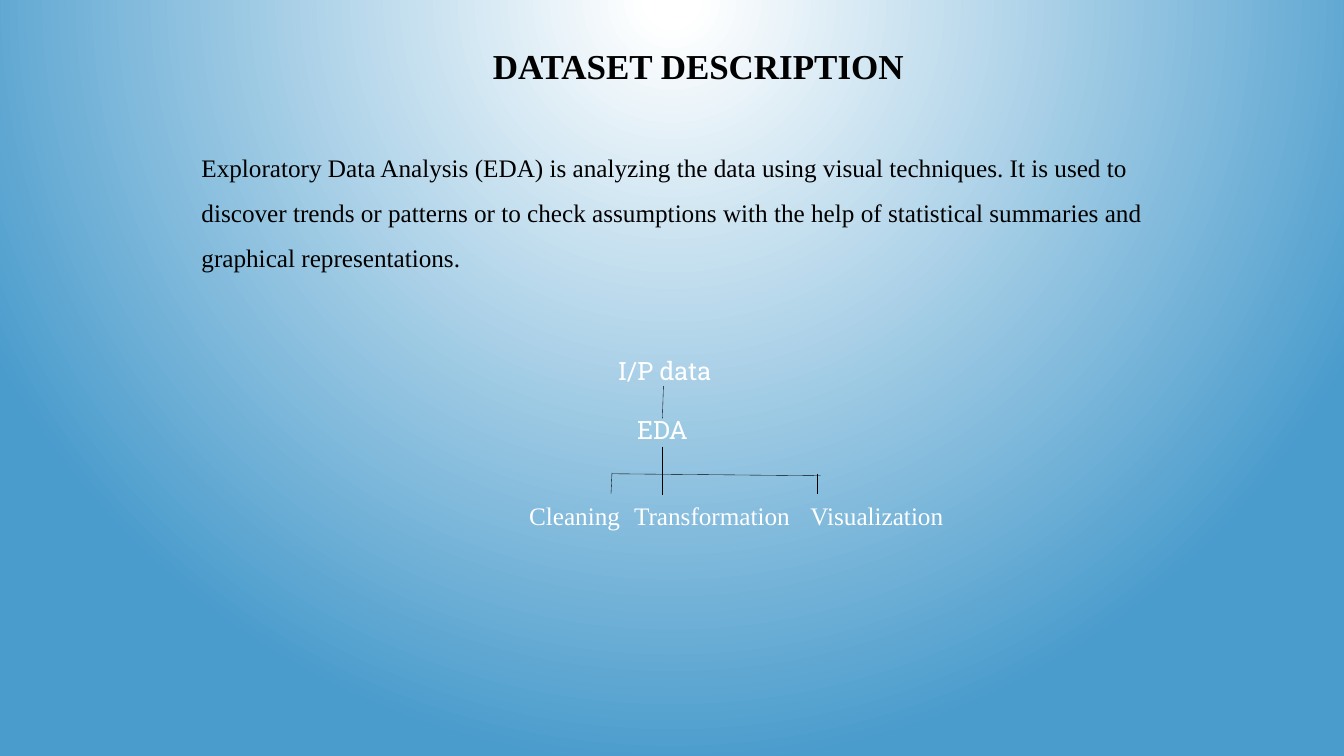
import pptx
import pptx.dml.color
import pptx.enum.shapes
import pptx.enum.text
import pptx.oxml
import pptx.oxml.ns
import pptx.util
from pptx.util import Inches

BLACK = pptx.dml.color.RGBColor(0x00, 0x00, 0x00)
WHITE = pptx.dml.color.RGBColor(0xFF, 0xFF, 0xFF)
SKY = pptx.dml.color.RGBColor(0x4A, 0x9C, 0xCC)
SERIF = "Times New Roman"
SLAB = "Roboto Slab"


def set_background(page):
    """Radial gradient centred above the top edge."""
    fill = page.background.fill
    fill.gradient()
    stops = "".join(
        f'<a:gs pos="{percent * 1000}"><a:srgbClr val="{color}"/></a:gs>'
        for percent, color in ((0, WHITE), (3, WHITE), (100, SKY)))
    gradient = pptx.oxml.parse_xml(
        f'<a:gradFill {pptx.oxml.ns.nsdecls("a")} rotWithShape="1">'
        f'<a:gsLst>{stops}</a:gsLst><a:path path="circle">'
        '<a:fillToRect l="50000" t="-80000" r="50000" b="180000"/>'
        '</a:path></a:gradFill>')
    old = page.background._cSld.bg.bgPr.find(pptx.oxml.ns.qn("a:gradFill"))
    old.getparent().replace(old, gradient)


def add_text(page, left, top, width, height, lines, color,
             font=SERIF, size=18, bold=False, grow=False):
    box = page.shapes.add_textbox(
        Inches(left), Inches(top), Inches(width), Inches(height))
    frame = box.text_frame
    frame.word_wrap = True
    if grow:
        frame.auto_size = pptx.enum.text.MSO_AUTO_SIZE.SHAPE_TO_FIT_TEXT
    frame.text = "\n".join(lines)
    for para in frame.paragraphs:
        para.font.name = font
        para.font.size = pptx.util.Pt(size)
        para.font.bold = bold
        para.font.color.rgb = color
    return frame


def add_branch(page, x1, y1, x2, y2):
    line = page.shapes.add_connector(
        pptx.enum.shapes.MSO_CONNECTOR.STRAIGHT,
        Inches(x1), Inches(y1), Inches(x2), Inches(y2))
    line.line.color.rgb = BLACK
    line.line.width = pptx.util.Pt(0.25)
    line._element.spPr.append(pptx.oxml.parse_xml(
        f'<a:effectLst {pptx.oxml.ns.nsdecls("a")}/>'))


def main():
    deck = pptx.Presentation()
    deck.slide_width, deck.slide_height = Inches(13.33), Inches(7.5)
    page = deck.slides.add_slide(deck.slide_layouts[6])
    set_background(page)

    # Heading and explanation
    add_text(page, 4.79, 0.39, 5.56, 0.52, ["DATASET DESCRIPTION"], BLACK,
             size=25, bold=True, grow=True)
    body = add_text(page, 1.9, 1.31, 10.24, 1.26, [
        "Exploratory Data Analysis (EDA) is analyzing the data using visual "
        "techniques. It is used to discover trends or patterns or to check "
        "assumptions with the help of statistical summaries and graphical "
        "representations."], BLACK)
    body.paragraphs[0].line_spacing = 1.5

    # Upper levels of the tree
    levels = add_text(page, 4.42, 3.48, 4.44, 3.67, ["I/P data", "EDA"],
                      WHITE, font=SLAB)
    for para, indent in zip(levels.paragraphs, (1.61, 1.8)):
        para._p.get_or_add_pPr().set("marL", str(Inches(indent)))
    levels.paragraphs[1].space_before = pptx.util.Pt(20)

    # Branches
    for ends in ((6.58, 3.83, 6.57, 4.15), (6.57, 4.43, 6.57, 4.7),
                 (6.07, 4.7, 8.14, 4.72), (6.07, 4.69, 6.06, 4.9),
                 (6.57, 4.69, 6.57, 4.91), (8.1, 4.7, 8.1, 4.9)):
        add_branch(page, *ends)

    # Steps of the analysis
    for left, width, step in ((5.15, 1.23, "Cleaning"),
                              (6.19, 1.91, "Transformation"),
                              (7.94, 4.44, "Visualization")):
        add_text(page, left, 4.91, width, 0.4, [step], WHITE, grow=True)

    deck.save("out.pptx")


if __name__ == "__main__":
    main()
